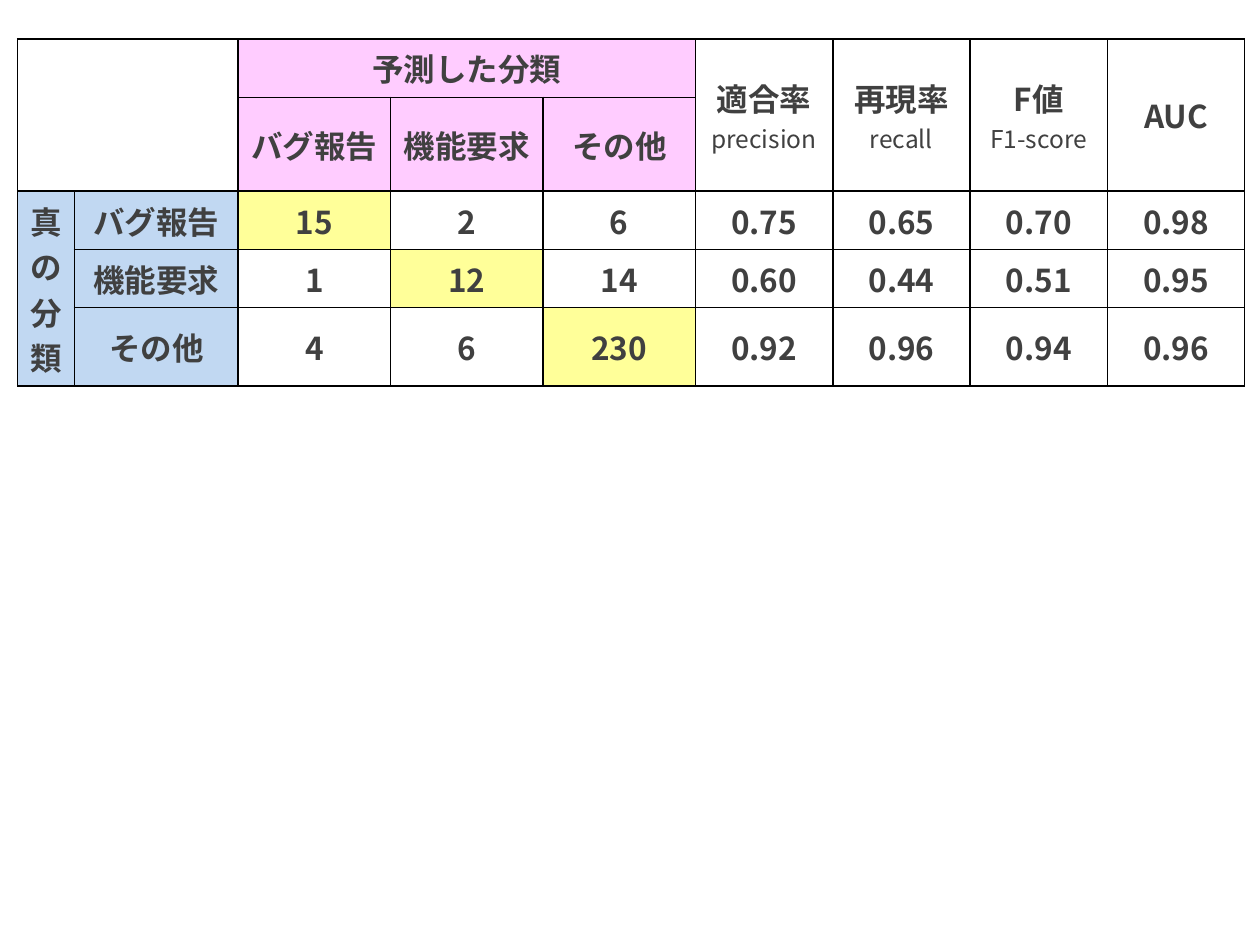
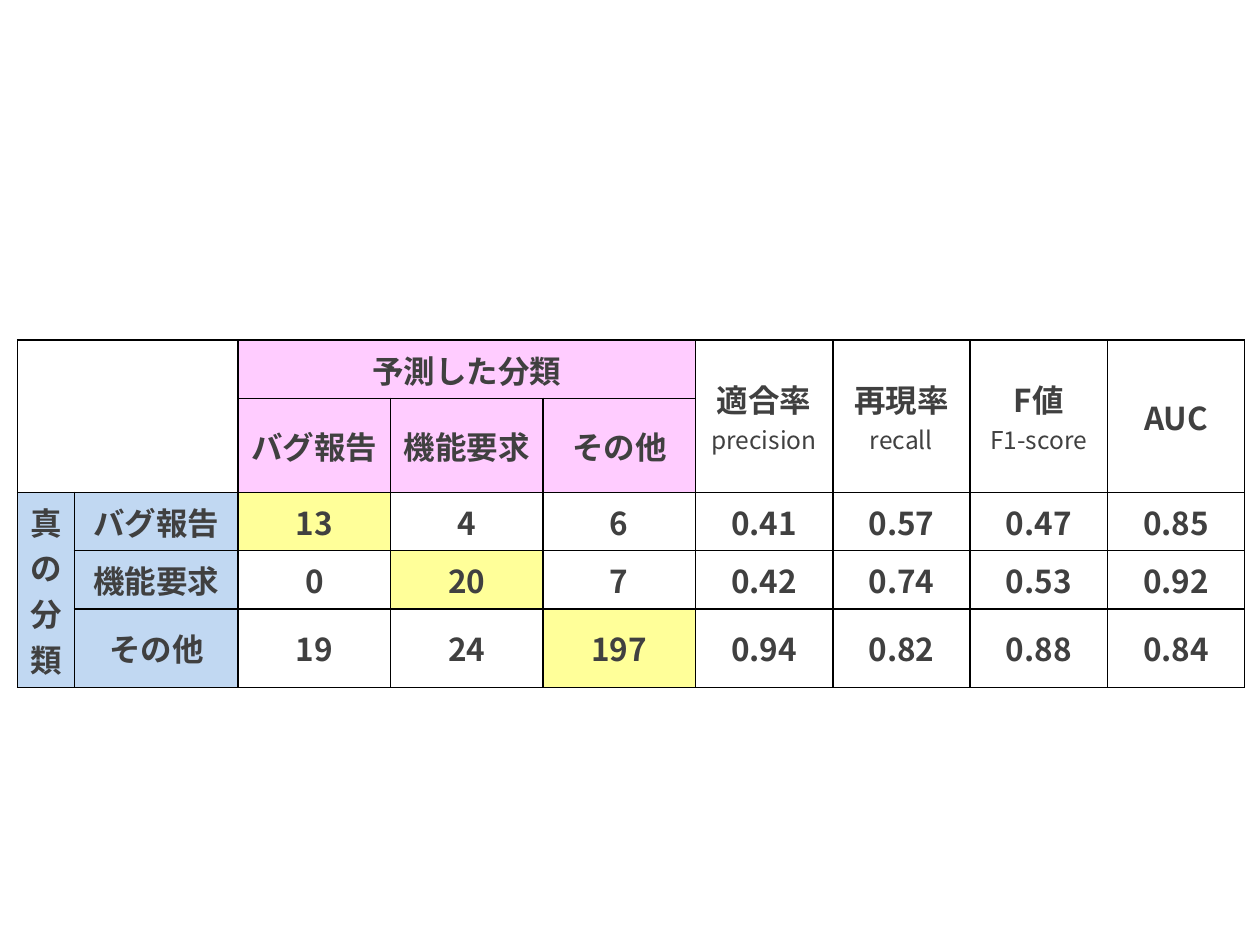
from lxml.etree import SubElement
from pptx import Presentation
from pptx.dml.color import RGBColor
from pptx.enum.lang import MSO_LANGUAGE_ID
from pptx.enum.text import MSO_ANCHOR, PP_ALIGN
from pptx.oxml.ns import qn
from pptx.util import Inches, Pt

COLORS = {
    "text": "404040",
    "border": "000000",
    "predicted": "FFCCFF",
    "actual": "C1D8F2",
    "correct": "FFFF99",
}
FONT = "Noto Sans CJK JP"
MAIN = {"name": FONT, "size": Pt(18), "bold": True, "language_id": MSO_LANGUAGE_ID.JAPANESE}
SUBTITLE = {**MAIN, "size": Pt(14), "bold": False}

CLASSES = ["バグ報告", "機能要求", "その他"]
METRICS = [["適合率", "precision"], ["再現率", "recall"], ["F値", "F1-score"], ["AUC"]]
COLUMN_WIDTHS = [0.45, 1.3] + [1.21] * len(CLASSES) + [1.09] * len(METRICS)
ROW_HEIGHT = 0.39
HEADER_ROWS = LABEL_COLUMNS = 2
METRIC_COLUMN = LABEL_COLUMNS + len(CLASSES)

RESULTS = [
    (0.31, [
        ["15", "2", "6", "0.75", "0.65", "0.70", "0.98"],
        ["1", "12", "14", "0.60", "0.44", "0.51", "0.95"],
        ["4", "6", "230", "0.92", "0.96", "0.94", "0.96"],
    ]),
    (2.7, [
        ["13", "4", "6", "0.41", "0.57", "0.47", "0.85"],
        ["0", "20", "7", "0.42", "0.74", "0.53", "0.92"],
        ["19", "24", "197", "0.94", "0.82", "0.88", "0.84"],
    ]),
]


def write_cell(cell, *lines):
    """Write centred lines, the first in bold and the others as subtitles."""
    for index, line in enumerate(lines):
        frame = cell.text_frame
        para = frame.add_paragraph() if index else frame.paragraphs[0]
        para.alignment = PP_ALIGN.CENTER
        span = para.add_run()
        span.text = line
        for name, value in (SUBTITLE if index else MAIN).items():
            setattr(span.font, name, value)
        span.font.color.rgb = RGBColor.from_string(COLORS["text"])
        SubElement(span.font._element, qn("a:ea"), typeface=FONT)


def add_borders(cell):
    """Draw a one-point line on each side of a cell."""
    properties = cell._tc.get_or_add_tcPr()
    for side in ("a:lnL", "a:lnR", "a:lnT", "a:lnB"):
        line = SubElement(properties, qn(side), w=str(Pt(1)))
        fill = SubElement(line, qn("a:solidFill"))
        SubElement(fill, qn("a:srgbClr"), val=COLORS["border"])


def region_color(row, column):
    """Return the colour key of a cell's region, or None where it is clear."""
    if row < HEADER_ROWS:
        return "predicted" if LABEL_COLUMNS <= column < METRIC_COLUMN else None
    if column < LABEL_COLUMNS:
        return "actual"
    return "correct" if row - HEADER_ROWS == column - LABEL_COLUMNS else None


def style_grid(table):
    """Give every cell its anchor, borders and fill."""
    for row, cells in enumerate(table.rows):
        for column, cell in enumerate(cells.cells):
            cell.vertical_anchor = MSO_ANCHOR.MIDDLE
            add_borders(cell)
            key = region_color(row, column)
            if key:
                cell.fill.solid()
                cell.fill.fore_color.rgb = RGBColor.from_string(COLORS[key])
            else:
                cell.fill.background()


def write_headers(table):
    """Merge and label the header rows and the label columns."""
    last_row = len(table.rows) - 1
    table.cell(0, 0).merge(table.cell(HEADER_ROWS - 1, LABEL_COLUMNS - 1))
    predicted = table.cell(0, LABEL_COLUMNS)
    predicted.merge(table.cell(0, METRIC_COLUMN - 1))
    write_cell(predicted, "予測した分類")
    actual = table.cell(HEADER_ROWS, 0)
    actual.merge(table.cell(last_row, 0))
    actual._tc.get_or_add_tcPr().set("vert", "eaVert")
    write_cell(actual, "真の分類")
    for index, label in enumerate(CLASSES):
        write_cell(table.cell(1, LABEL_COLUMNS + index), label)
        write_cell(table.cell(HEADER_ROWS + index, 1), label)
    for column, lines in enumerate(METRICS, METRIC_COLUMN):
        metric = table.cell(0, column)
        metric.merge(table.cell(HEADER_ROWS - 1, column))
        write_cell(metric, *lines)


def add_confusion_table(page, top, scores):
    """Add a confusion matrix with the metrics of each class."""
    row_count = HEADER_ROWS + len(scores)
    table = page.shapes.add_table(
        row_count, len(COLUMN_WIDTHS), Inches(0.14), Inches(top),
        Inches(sum(COLUMN_WIDTHS)), Inches(ROW_HEIGHT * row_count),
    ).table
    table.first_row = table.horz_banding = False
    for column, width in zip(table.columns, COLUMN_WIDTHS):
        column.width = Inches(width)
    for row in table.rows:
        row.height = Inches(ROW_HEIGHT)
    style_grid(table)
    write_headers(table)
    for row, values in enumerate(scores, HEADER_ROWS):
        for column, value in enumerate(values, LABEL_COLUMNS):
            write_cell(table.cell(row, column), value)


def main():
    """Build one slide for each set of results."""
    deck = Presentation()
    deck.slide_width, deck.slide_height = Inches(10), Inches(7.5)
    for top, scores in RESULTS:
        page = deck.slides.add_slide(deck.slide_layouts[6])
        add_confusion_table(page, top, scores)
    deck.save("out.pptx")


if __name__ == "__main__":
    main()
